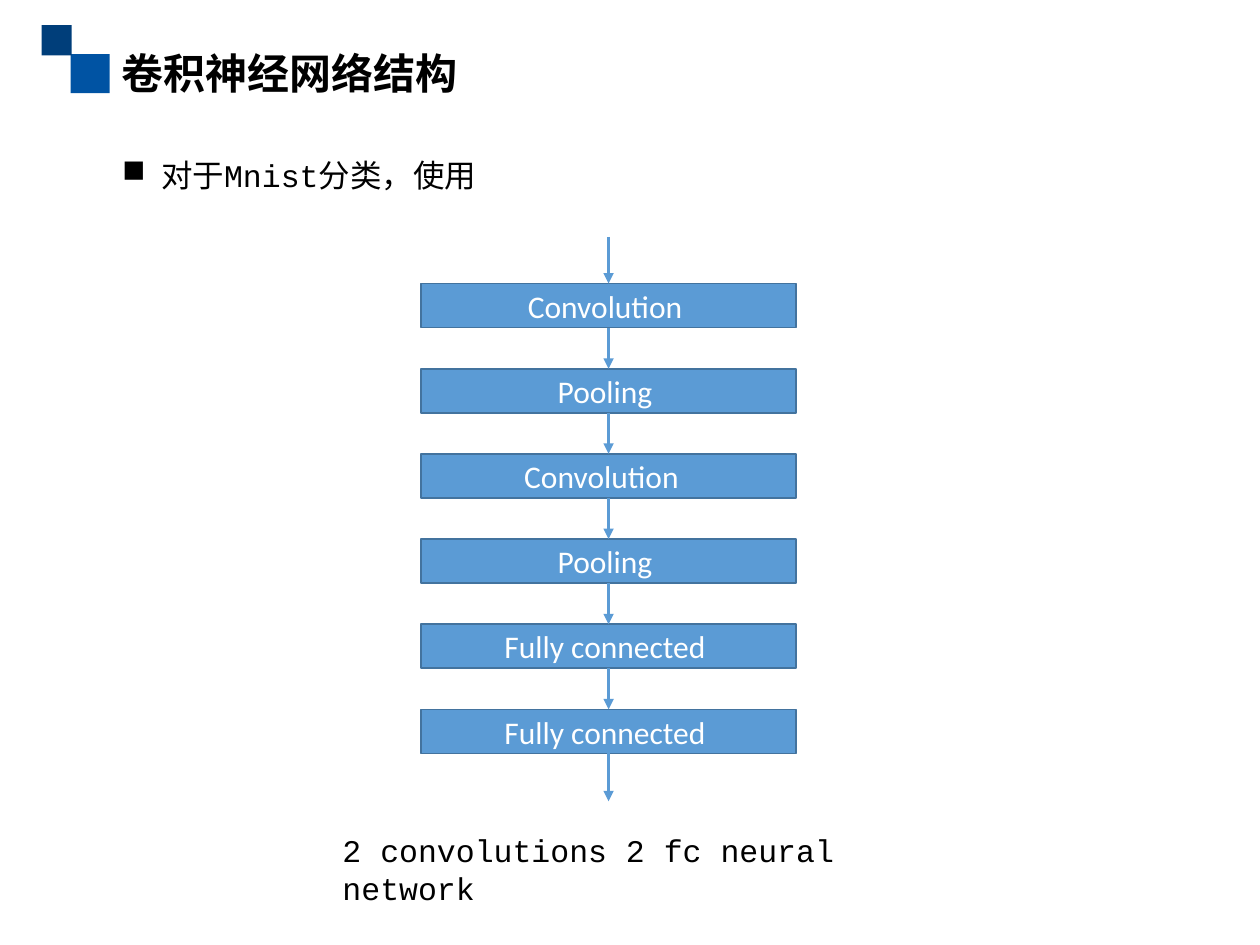
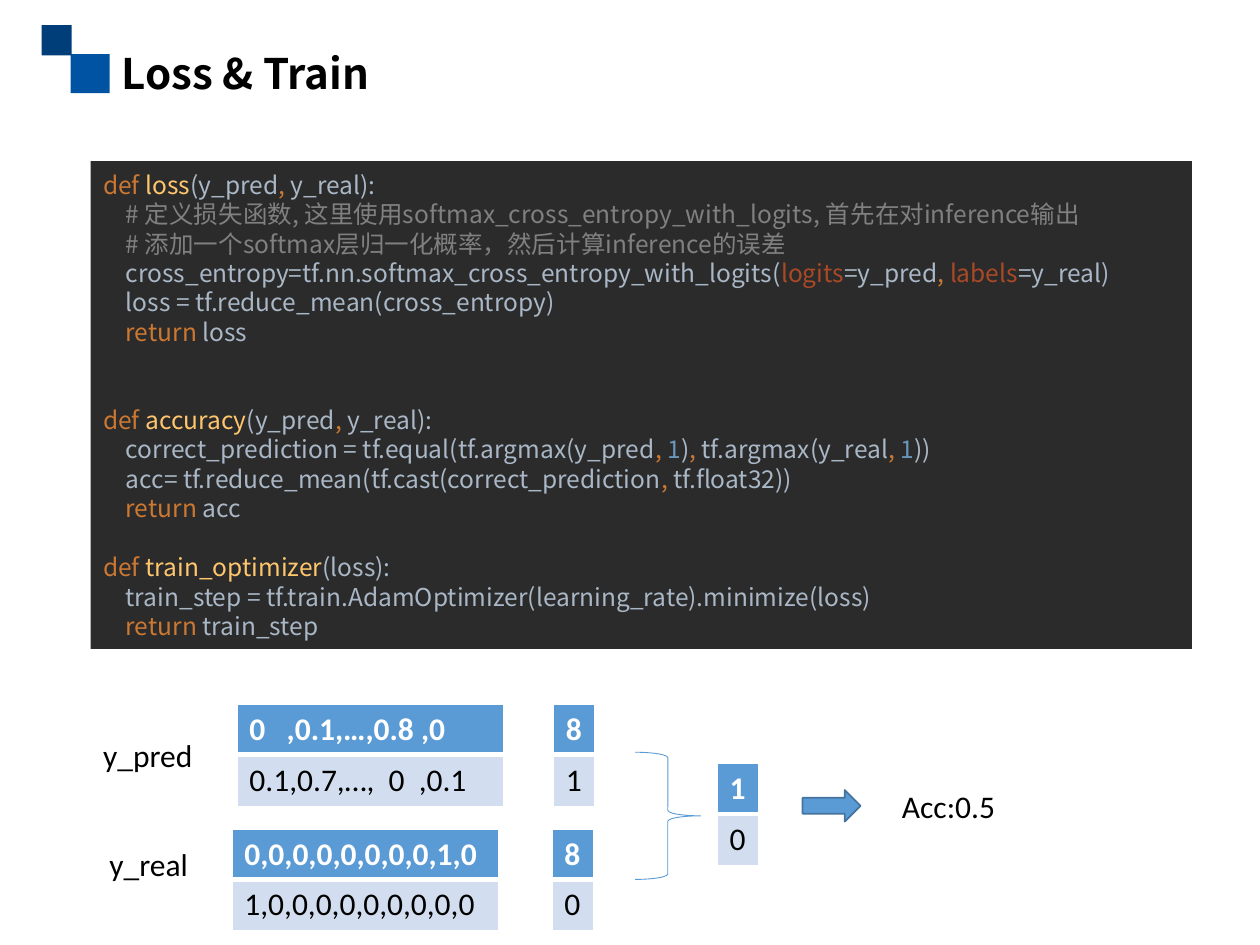
from lxml.etree import SubElement
from pptx import Presentation
from pptx.dml.color import RGBColor as RGB
from pptx.enum.shapes import MSO_CONNECTOR as LINK, MSO_SHAPE as SHAPE
from pptx.enum.text import MSO_ANCHOR as ANCHOR, MSO_AUTO_SIZE as AUTO, PP_ALIGN as ALIGN
from pptx.oxml.ns import qn
from pptx.util import Inches, Pt

BLACK, WHITE = RGB(0, 0, 0), RGB(255, 255, 255)
NAVY, ROYAL = RGB(0x00, 0x3E, 0x7A), RGB(0x00, 0x53, 0xA3)
BLUE, EDGE, PALE = RGB(0x5B, 0x9B, 0xD5), RGB(0x43, 0x73, 0x9E), RGB(0xD2, 0xDE, 0xEF)
DARK = RGB(0x2B, 0x2B, 0x2B)
KEY, NAME, CODE = RGB(0xCC, 0x78, 0x32), RGB(0xFF, 0xC6, 0x6D), RGB(0xA9, 0xB7, 0xC6)
NOTE, ARG, NUM = RGB(0x80, 0x80, 0x80), RGB(0xAA, 0x49, 0x26), RGB(0x68, 0x97, 0xBB)

SANS, MONO, HAN = "Calibri", "Courier New", "Noto Sans CJK SC"

LOGO = [((0.56, 0.43, 0.31, 0.31), ROYAL), ((0.33, 0.2, 0.24, 0.24), NAVY)]

LAYERS = ["Convolution ", "Pooling ", "Convolution  ", "Pooling ",
          "Fully connected ", "Fully connected "]
LEFT, WIDE, HIGH = 3.34, 2.98, 0.35
FIRST, LAST = 2.25, 5.63
STEP = (LAST - FIRST) / (len(LAYERS) - 1)
START, END = 1.88, 6.36

COMMA = (", ", KEY)
PITCH, INDENT = 16.8, 0.18
BLOCKS = [
    (0, [
        [("def ", KEY), ("loss", NAME), ("(y_pred", CODE), COMMA, ("y_real):", CODE)],
        [("# 定义损失函数, 这里使用softmax_cross_entropy_with_logits, 首先在对inference输出", NOTE)],
        [("# 添加一个softmax层归一化概率，然后计算inference的误差", NOTE)],
        [("cross_entropy=tf.nn.softmax_cross_entropy_with_logits(", CODE), ("logits", ARG),
         ("=y_pred", CODE), COMMA, ("labels", ARG), ("=y_real)", CODE)],
        [("loss = tf.reduce_mean(cross_entropy)", CODE)],
        [("return ", KEY), ("loss", CODE)],
    ]),
    (2, [
        [("def ", KEY), ("accuracy", NAME), ("(y_pred", CODE), COMMA, ("y_real):", CODE)],
        [("correct_prediction = tf.equal(tf.argmax(y_pred", CODE), COMMA, ("1", NUM),
         (")", CODE), COMMA, ("tf.argmax(y_real", CODE), COMMA, ("1", NUM), ("))", CODE)],
        [("acc= tf.reduce_mean(tf.cast(correct_prediction", CODE), COMMA, ("tf.float32))", CODE)],
        [("return ", KEY), ("acc", CODE)],
    ]),
    (1, [
        [("def ", KEY), ("train_optimizer", NAME), ("(loss):", CODE)],
        [("train_step = tf.train.AdamOptimizer(learning_rate).minimize(loss)", CODE)],
        [("return ", KEY), ("train_step", CODE)],
    ]),
]

TABLES = [
    (1.88, 5.59, 2.12, "0   ,0.1,…,0.8 ,0", "0.1,0.7,…,  0  ,0.1"),
    (1.84, 6.58, 2.12, "0,0,0,0,0,0,0,0,1,0", "1,0,0,0,0,0,0,0,0,0"),
    (4.39, 5.59, 0.33, "8", "1"),
    (4.38, 6.58, 0.33, "8", "0"),
    (5.69, 6.06, 0.33, "1", "0"),
]
LABELS = [("y_pred", 0.72, 5.79, 0.93), ("y_real", 0.77, 6.66, 0.83),
          ("Acc:0.5", 7.06, 6.2, 0.95)]


def style(para, face, size=18, color=BLACK, bold=False):
    font = para.font
    font.size, font.name, font.bold = Pt(size), face, bold
    font.color.rgb = color
    SubElement(para._p.pPr.find(qn("a:defRPr")), qn("a:ea")).set("typeface", HAN)


def add_text(slide, text, at, face, size=18, bold=False, wrap=True):
    frame = slide.shapes.add_textbox(*map(Inches, at)).text_frame
    frame.word_wrap, frame.auto_size = wrap, AUTO.SHAPE_TO_FIT_TEXT
    para = frame.paragraphs[0]
    para.text = text
    style(para, face, size, bold=bold)
    return para


def add_box(slide, kind, at, fill=None, line=None, width=1):
    box = slide.shapes.add_shape(kind, *map(Inches, at))
    box.shadow.inherit = False
    if fill is None:
        box.fill.background()
    else:
        box.fill.solid()
        box.fill.fore_color.rgb = fill
    if line is None:
        box.line.fill.background()
    else:
        box.line.color.rgb, box.line.width = line, Pt(width)
    return box


def add_arrow(slide, above, below):
    mid = LEFT + WIDE / 2
    ends = map(Inches, (mid, START, mid, END))
    link = slide.shapes.add_connector(LINK.STRAIGHT, *ends)
    if above is not None:
        link.begin_connect(above, 2)
    if below is not None:
        link.end_connect(below, 0)
    link.line.color.rgb, link.line.width = BLUE, Pt(1.5)
    SubElement(link.line._get_or_add_ln(), qn("a:tailEnd")).set("type", "triangle")
    SubElement(link._element.spPr, qn("a:effectLst"))


def add_edges(cell, widths):
    props = cell._tc.get_or_add_tcPr()
    for at, (side, width) in enumerate(zip("LRTB", widths)):
        edge = props.makeelement(qn("a:ln" + side), {"w": str(Pt(width))})
        SubElement(SubElement(edge, qn("a:solidFill")), qn("a:srgbClr")).set("val", str(WHITE))
        props.insert(at, edge)


def add_grid(slide, left, top, width, *texts):
    grid = slide.shapes.add_table(2, 1, *map(Inches, (left, top, width, 0.81))).table
    looks = [(0.4, BLUE, WHITE, True, (1, 1, 1, 3)), (0.41, PALE, BLACK, False, (1, 1, 3, 1))]
    for row, (text, (high, fill, color, bold, edges)) in enumerate(zip(texts, looks)):
        grid.rows[row].height = Inches(high)
        cell = grid.cell(row, 0)
        cell.text = text
        style(cell.text_frame.paragraphs[0], SANS, color=color, bold=bold)
        cell.fill.solid()
        cell.fill.fore_color.rgb = fill
        add_edges(cell, edges)


def add_slide(deck, title):
    slide = deck.slides.add_slide(deck.slide_layouts[6])
    for at, color in LOGO:
        add_box(slide, SHAPE.RECTANGLE, at, color)
    add_text(slide, title, (0.87, 0.33, 7.6, 0.5), HAN, 24, True)
    return slide


def add_bullet(para, indent):
    props = para._p.get_or_add_pPr()
    props.set("marL", str(Inches(indent)))
    props.set("indent", str(-Inches(indent)))
    props.insert(0, props.makeelement(qn("a:buChar"), {"char": "■"}))


def draw_net(deck):
    slide = add_slide(deck, "卷积神经网络结构")
    add_bullet(add_text(slide, "对于Mnist分类，使用", (0.87, 1.19, 7.91, 0.4), MONO), 0.31)
    boxes = []
    for i, layer in enumerate(LAYERS):
        at = (LEFT, FIRST + i * STEP, WIDE, HIGH)
        box = add_box(slide, SHAPE.RECTANGLE, at, BLUE, EDGE)
        para = box.text_frame.paragraphs[0]
        para.text, para.alignment = layer, ALIGN.CENTER
        style(para, SANS, color=WHITE)
        boxes.append(box)
    for above, below in zip([None] + boxes, boxes + [None]):
        add_arrow(slide, above, below)
    add_text(slide, "2 convolutions 2 fc neural network", (2.62, 6.55, 5.23, 0.4), MONO)


def draw_code(slide):
    frame = add_box(slide, SHAPE.RECTANGLE, (0.72, 1.28, 8.74, 3.87), DARK).text_frame
    frame.word_wrap, frame.vertical_anchor = True, ANCHOR.MIDDLE
    para = frame.paragraphs[0]
    for gap, lines in BLOCKS:
        for row, line in enumerate(lines):
            if para.runs:
                para = frame.add_paragraph()
            para.alignment, para.line_spacing = ALIGN.LEFT, Pt(PITCH)
            para.space_before = Pt(0 if row else gap * PITCH)
            para._p.pPr.set("marL", str(Inches(INDENT if row else 0)))
            style(para, HAN, 14, CODE)
            for text, color in line:
                run = para.add_run()
                run.text, run.font.color.rgb = text, color


def draw_loss(deck):
    slide = add_slide(deck, "Loss & Train")
    draw_code(slide)
    for table in TABLES:
        add_grid(slide, *table)
    for text, left, top, width in LABELS:
        add_text(slide, text, (left, top, width, 0.4), SANS, wrap=False)
    add_box(slide, SHAPE.RIGHT_BRACE, (5.04, 5.97, 0.52, 1.01), line=BLUE, width=0.5)
    add_box(slide, SHAPE.RIGHT_ARROW, (6.37, 6.27, 0.46, 0.25), BLUE, EDGE)


def main():
    deck = Presentation()
    deck.slide_width, deck.slide_height = Inches(10), Inches(7.5)
    draw_net(deck)
    draw_loss(deck)
    deck.save("out.pptx")


if __name__ == "__main__":
    main()
